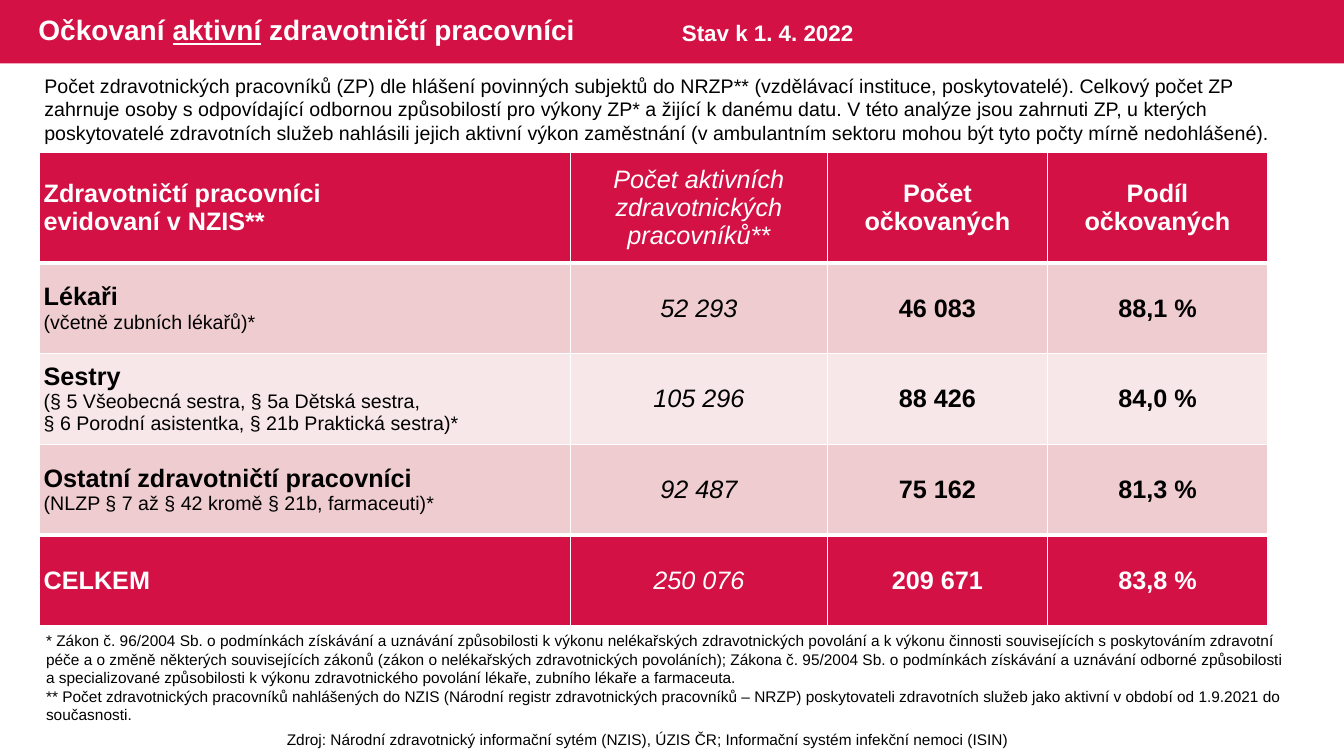
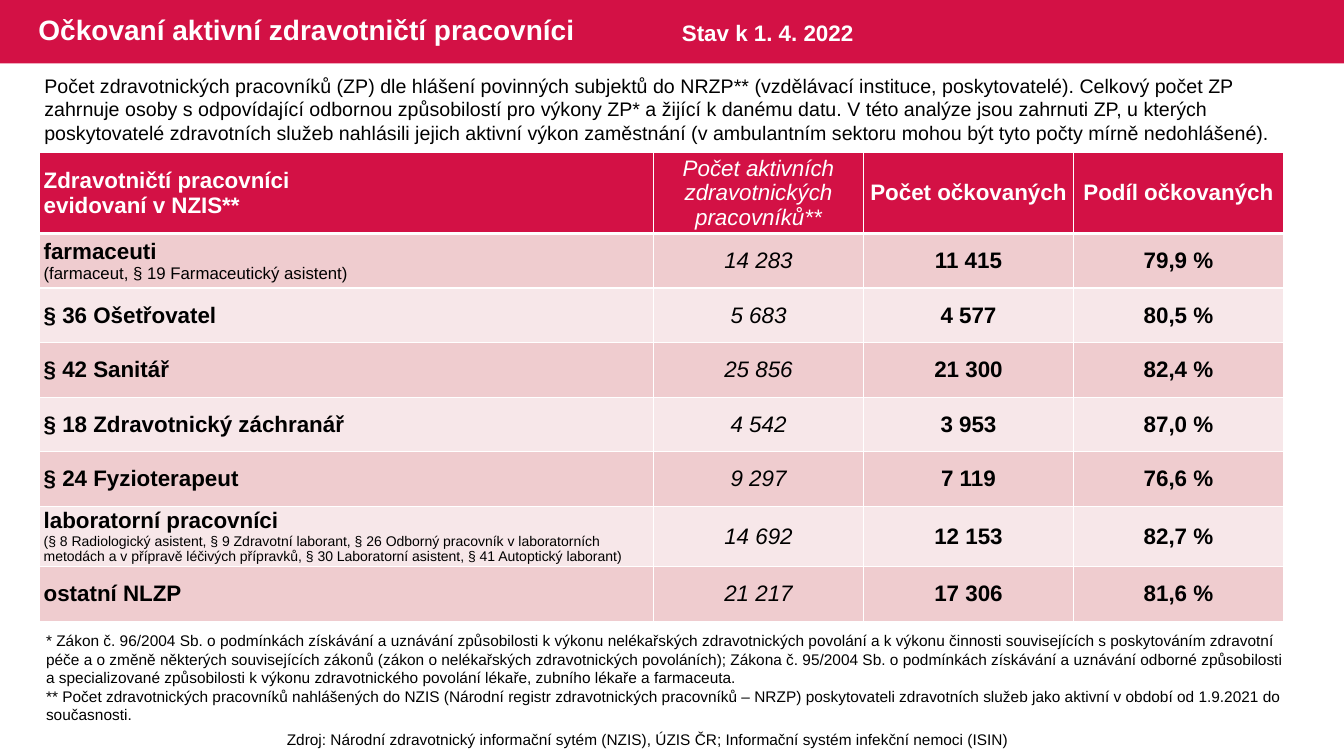
from lxml.etree import SubElement
from pptx import Presentation
from pptx.dml.color import RGBColor
from pptx.enum.shapes import MSO_SHAPE
from pptx.enum.text import MSO_ANCHOR, MSO_AUTO_SIZE, PP_ALIGN
from pptx.oxml.ns import qn
from pptx.util import Inches, Pt

COLUMNS, ROWS = 160, 90
CRIMSON, ROSE, BLUSH = "D31145", "EFCCCF", "F7E7E9"
WHITE, BLACK = "FFFFFF", "000000"

INTRO = (
    "Počet zdravotnických pracovníků (ZP) dle hlášení povinných subjektů do NRZP** "
    "(vzdělávací instituce, poskytovatelé). Celkový počet ZP zahrnuje osoby s odpovídající "
    "odbornou způsobilostí pro výkony ZP* a žijící k danému datu. V této analýze jsou "
    "zahrnuti ZP, u kterých poskytovatelé zdravotních služeb nahlásili jejich aktivní výkon "
    "zaměstnání (v ambulantním sektoru mohou být tyto počty mírně nedohlášené)."
)
FOOTNOTES = [
    "* Zákon č. 96/2004 Sb. o podmínkách získávání a uznávání způsobilosti k výkonu "
    "nelékařských zdravotnických povolání a k výkonu činnosti souvisejících s poskytováním "
    "zdravotní péče a o změně některých souvisejících zákonů (zákon o nelékařských "
    "zdravotnických povoláních); Zákona č. 95/2004 Sb. o podmínkách získávání a uznávání "
    "odborné způsobilosti a specializované způsobilosti k výkonu zdravotnického povolání "
    "lékaře, zubního lékaře a farmaceuta.",
    "** Počet zdravotnických pracovníků nahlášených do NZIS (Národní registr zdravotnických "
    "pracovníků – NRZP) poskytovateli zdravotních služeb jako aktivní v období od 1.9.2021 "
    "do současnosti.",
]
SOURCE = (
    "Zdroj: Národní zdravotnický informační sytém (NZIS), ÚZIS ČR; "
    "Informační systém infekční nemoci (ISIN)"
)
HEADINGS = (
    ["Zdravotničtí pracovníci", "evidovaní v NZIS**"], [],
    "Počet aktivních zdravotnických pracovníků**", "Počet očkovaných", "Podíl očkovaných",
)
MAIN_GROUPS = [
    (["Lékaři"], ["(včetně zubních lékařů)*"], "52 293", "46 083", "88,1 %"),
    (["Sestry"],
     ["(§ 5 Všeobecná sestra, § 5a Dětská sestra,",
      "§ 6 Porodní asistentka, § 21b Praktická sestra)*"],
     "105 296", "88 426", "84,0 %"),
    (["Ostatní zdravotničtí pracovníci"], ["(NLZP § 7 až § 42 kromě § 21b, farmaceuti)*"],
     "92 487", "75 162", "81,3 %"),
    (["CELKEM"], [], "250 076", "209 671", "83,8 %"),
]
OTHER_PROFESSIONS = [
    (["farmaceuti"], ["(farmaceut, § 19 Farmaceutický asistent)"],
     "14 283", "11 415", "79,9 %"),
    (["§ 36 Ošetřovatel"], [], "5 683", "4 577", "80,5 %"),
    (["§ 42 Sanitář"], [], "25 856", "21 300", "82,4 %"),
    (["§ 18 Zdravotnický záchranář"], [], "4 542", "3 953", "87,0 %"),
    (["§ 24 Fyzioterapeut"], [], "9 297", "7 119", "76,6 %"),
    (["laboratorní pracovníci"],
     ["(§ 8 Radiologický asistent, § 9 Zdravotní laborant, § 26 Odborný pracovník v "
      "laboratorních metodách a v přípravě léčivých přípravků, § 30 Laboratorní asistent, "
      "§ 41 Autoptický laborant)"],
     "14 692", "12 153", "82,7 %"),
    (["ostatní NLZP"], [], "21 217", "17 306", "81,6 %"),
]


def color(hex_code):
    return RGBColor.from_string(hex_code)


def write(frame, text, size, ink=BLACK, bold=False, italic=False, underline=False,
          align=PP_ALIGN.LEFT, spacing=None, join=False):
    paragraph = frame.paragraphs[-1] if join or not frame.text else frame.add_paragraph()
    paragraph.alignment = align
    paragraph.line_spacing = spacing
    run = paragraph.add_run()
    run.text = text
    font = run.font
    font.name, font.size = "Arial", Pt(size)
    font.bold, font.italic, font.underline = bold, italic, underline
    font.color.rgb = color(ink)


class Report:
    """Hold the report style and the current slide, placed on a 160 by 90 grid."""

    def __init__(self):
        self.deck = Presentation()
        self.deck.slide_width, self.deck.slide_height = Inches(13.33), Inches(7.5)
        self.slide = None

    def across(self, columns):
        return round(self.deck.slide_width * columns / COLUMNS)

    def down(self, rows):
        return round(self.deck.slide_height * rows / ROWS)

    def place(self, left, top, width, height):
        return self.across(left), self.down(top), self.across(width), self.down(height)

    def band(self, height):
        band = self.slide.shapes.add_shape(
            MSO_SHAPE.RECTANGLE, *self.place(0, 0, COLUMNS, height))
        band.shadow.inherit = False
        band.fill.solid()
        band.fill.fore_color.rgb = color(CRIMSON)
        band.line.fill.background()

    def text(self, area, *paragraphs, anchor=MSO_ANCHOR.TOP, grow=True, **style):
        frame = self.slide.shapes.add_textbox(*self.place(*area)).text_frame
        frame.word_wrap = True
        frame.vertical_anchor = anchor
        frame.auto_size = MSO_AUTO_SIZE.SHAPE_TO_FIT_TEXT if grow else MSO_AUTO_SIZE.NONE
        for paragraph in paragraphs:
            write(frame, paragraph, **style)
        return frame

    def page(self, underline):
        self.slide = self.deck.slides.add_slide(self.deck.slide_layouts[6])
        self.band(7.56)
        title = {"size": 20, "ink": WHITE, "bold": True, "spacing": 0.9}
        heading = self.text((3.4, 0, 97.6, 7.56), "Očkovaní ",
                            anchor=MSO_ANCHOR.MIDDLE, grow=False, **title)
        write(heading, "aktivní", underline=underline, join=True, **title)
        write(heading, " zdravotničtí pracovníci", join=True, **title)
        self.text((4.3, 74.6, 150.4, 12.4), *FOOTNOTES, size=11)
        self.text((4.1, 8.2, 151.7, 9.7), INTRO, size=14)
        self.text((80, 1.7, 26.4, 4.4), "Stav k 1. 4. 2022", size=16, ink=WHITE, bold=True)
        self.text((22.8, 86.3, 108.7, 3.5), SOURCE, size=11, align=PP_ALIGN.CENTER)

    def cell(self, cell, fill, top, bottom):
        properties = cell._tc.get_or_add_tcPr()
        for side, points in (("L", 1), ("R", 1), ("T", top), ("B", bottom)):
            line = SubElement(properties, qn(f"a:ln{side}"), w=str(Pt(points)))
            SubElement(SubElement(line, qn("a:solidFill")), qn("a:srgbClr"), val=WHITE)
        cell.fill.solid()
        cell.fill.fore_color.rgb = color(fill)
        cell.vertical_anchor = MSO_ANCHOR.MIDDLE
        cell.margin_left = cell.margin_right = self.across(0.5)
        cell.margin_top = cell.margin_bottom = 0
        return cell.text_frame

    def table(self, records, widths, heights, size, detail_sizes, total=False):
        area = self.place(4.7, 18.2, sum(widths), sum(heights))
        table = self.slide.shapes.add_table(len(heights), len(widths), *area).table
        for column, width in zip(table.columns, widths):
            column.width = self.across(width)
        for row, height in zip(table.rows, heights):
            row.height = self.down(height)
        total_row = len(records) if total else None
        strong_edges = {1, total_row}
        for row, (names, details, *figures) in enumerate([HEADINGS, *records]):
            accented = row in (0, total_row)
            fill = CRIMSON if accented else (BLUSH, ROSE)[row % 2]
            ink = WHITE if accented else BLACK
            edges = [3 if edge in strong_edges else 1 for edge in (row, row + 1)]
            label, *values = [self.cell(cell, fill, *edges) for cell in table.rows[row].cells]
            for name in names:
                write(label, name, size, ink, bold=True)
            for detail in details:
                write(label, detail, detail_sizes[row], ink)
            for column, (value, figure) in enumerate(zip(values, figures)):
                write(value, figure, size, ink, bold=column > 0, italic=column == 0,
                      align=PP_ALIGN.CENTER)


def main():
    report = Report()
    report.page(underline=True)
    report.table(MAIN_GROUPS, [63.2, 30.6, 26.2, 26.2], [13.1] + [10.8] * 4, 18,
                 {1: 14, 2: 14, 3: 14}, total=True)
    report.page(underline=False)
    report.table(OTHER_PROFESSIONS, [73.1, 25, 25, 25], [9] + [6.5] * 5 + [6.85, 6.5], 16,
                 {1: 12, 6: 10})
    report.deck.save("out.pptx")


if __name__ == "__main__":
    main()
